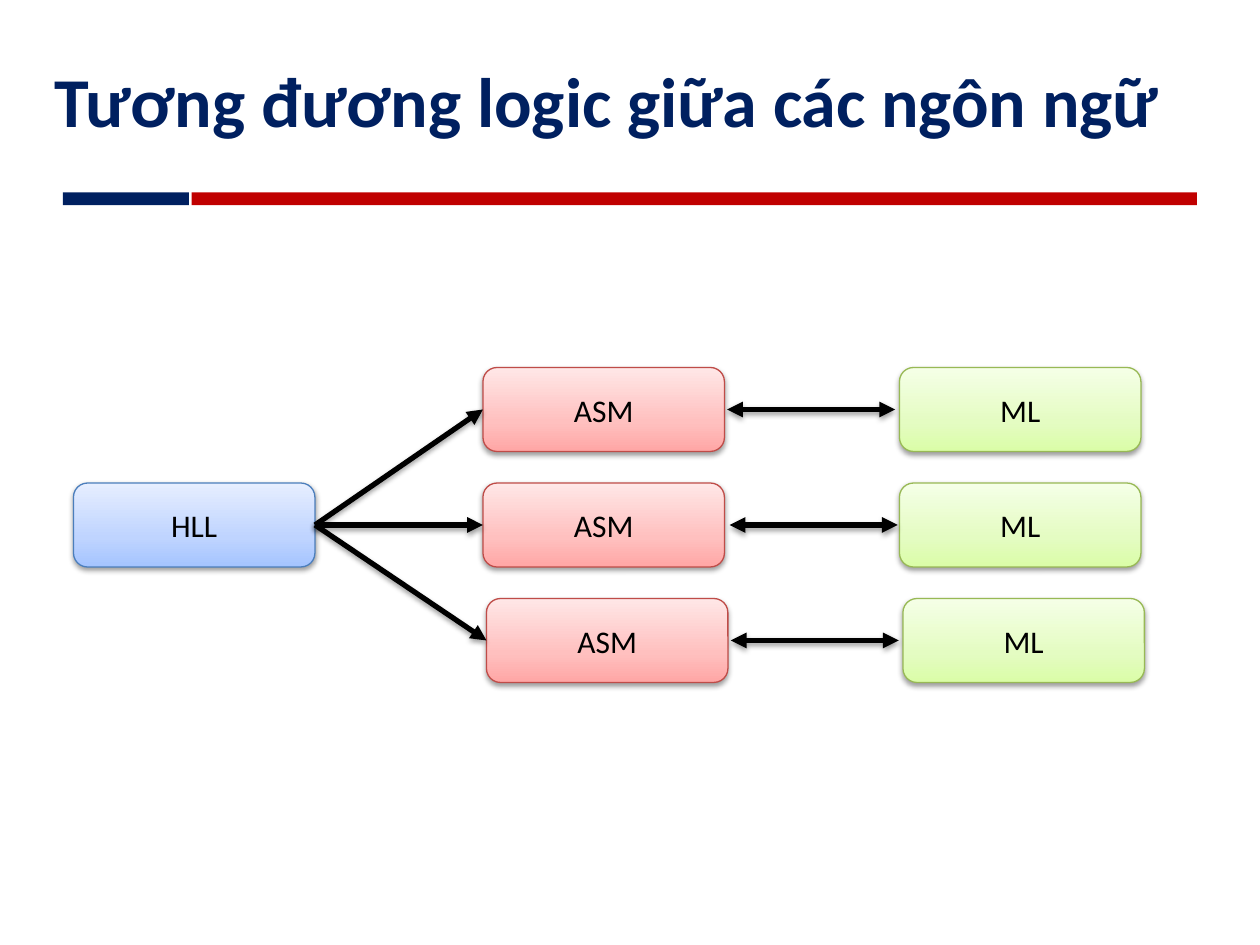
import copy
from dataclasses import dataclass

import pptx
import pptx.dml.color
import pptx.enum.shapes
import pptx.enum.text
import pptx.oxml
import pptx.oxml.ns
import pptx.util

Pt = pptx.util.Pt
SHAPE = pptx.enum.shapes.MSO_SHAPE


@dataclass(frozen=True)
class Theme:
    font: str = "Calibri"
    title_size: int = 40
    box_size: int = 18
    navy: str = "002060"
    red: str = "C00000"
    black: str = "000000"
    blue_box: tuple = ("4B7EBC", "A4C4FF", "BFD4FF", "E6EEFF")
    red_box: tuple = ("BF4C48", "FFA6A5", "FFC0BF", "FFE7E7")
    green_box: tuple = ("98B955", "DAFDA7", "E4FCC2", "F5FFE7")


THEME = Theme()
BOX_W, BOX_H = 138, 48
HLL_X, ASM_X, ML_X = 42, 276, 514
MIDDLE_Y = 276
ROWS = ((276, 0, 417), (342, 2, 417.6), (210, 0, 415.5))
ARROW_W = 96


def rgb(color):
    return pptx.dml.color.RGBColor.from_string(color)


def set_text(sp, text, size, color, bold=False):
    tf = sp.text_frame
    tf.text = text
    tf.word_wrap = True
    tf.vertical_anchor = pptx.enum.text.MSO_ANCHOR.MIDDLE
    f = tf.paragraphs[0].runs[0].font
    f.name, f.size, f.bold = THEME.font, Pt(size), bold
    f.color.rgb = rgb(color)
    return tf.paragraphs[0]


def add_shadow(sp):
    sp._element.spPr.append(pptx.oxml.parse_xml(
        f'<a:effectLst {pptx.oxml.ns.nsdecls("a")}>'
        f'<a:outerShdw blurRad="{Pt(3.1)}" dist="{Pt(1.6)}" dir="5400000" rotWithShape="0">'
        f'<a:srgbClr val="{THEME.black}"><a:alpha val="38000"/></a:srgbClr>'
        '</a:outerShdw></a:effectLst>'))


def set_gradient(fill, colors):
    fill.gradient()
    fill.gradient_angle = 90
    first = fill.gradient_stops[0]._gs
    first.addnext(copy.deepcopy(first))
    for stop, position, color in zip(fill.gradient_stops, (0, 0.35, 1), colors):
        stop.position = position
        stop.color.rgb = rgb(color)


def add_title(s, text):
    sp = s.shapes.add_textbox(Pt(24), Pt(12), Pt(672), Pt(90))
    set_text(sp, text, THEME.title_size, THEME.navy, True)


def add_bar(s, x, w, color):
    sp = s.shapes.add_shape(SHAPE.RECTANGLE, Pt(x), Pt(110), Pt(w), Pt(7.2))
    sp.shadow.inherit = False
    sp.fill.solid()
    sp.fill.fore_color.rgb = rgb(color)
    sp.line.fill.background()


def add_box(s, text, x, y, colors):
    sp = s.shapes.add_shape(SHAPE.ROUNDED_RECTANGLE, Pt(x), Pt(y), Pt(BOX_W), Pt(BOX_H))
    set_gradient(sp.fill, colors[1:])
    sp.line.color.rgb = rgb(colors[0])
    sp.line.width = Pt(0.75)
    add_shadow(sp)
    p = set_text(sp, text, THEME.box_size, THEME.black)
    p.alignment = pptx.enum.text.PP_ALIGN.CENTER


def add_arrow(s, x1, y1, x2, y2, ends=("tailEnd",)):
    sp = s.shapes.add_connector(
        pptx.enum.shapes.MSO_CONNECTOR.STRAIGHT, Pt(x1), Pt(y1), Pt(x2), Pt(y2))
    sp.line.color.rgb = rgb(THEME.black)
    sp.line.width = Pt(3)
    for end in ends:
        sp.line._ln.append(pptx.oxml.parse_xml(
            f'<a:{end} {pptx.oxml.ns.nsdecls("a")} type="triangle"/>'))
    add_shadow(sp)


def main():
    prs = pptx.Presentation()
    prs.slide_width, prs.slide_height = Pt(720), Pt(540)
    s = prs.slides.add_slide(prs.slide_layouts[6])

    add_bar(s, 36, 72, THEME.navy)
    add_bar(s, 109.5, 574.5, THEME.red)
    add_title(s, "Tương đương logic giữa các ngôn ngữ")

    add_box(s, "HLL", HLL_X, MIDDLE_Y, THEME.blue_box)
    for text, x, colors in (("ASM", ASM_X, THEME.red_box), ("ML", ML_X, THEME.green_box)):
        for y, shift, _ in ROWS:
            add_box(s, text, x + shift, y, colors)

    half = BOX_H / 2
    for y, shift, _ in ROWS:
        add_arrow(s, HLL_X + BOX_W, MIDDLE_Y + half, ASM_X + shift, y + half)
    for y, _, x in ROWS:
        add_arrow(s, x, y + half, x + ARROW_W, y + half, ("headEnd", "tailEnd"))

    prs.save("out.pptx")


if __name__ == "__main__":
    main()
